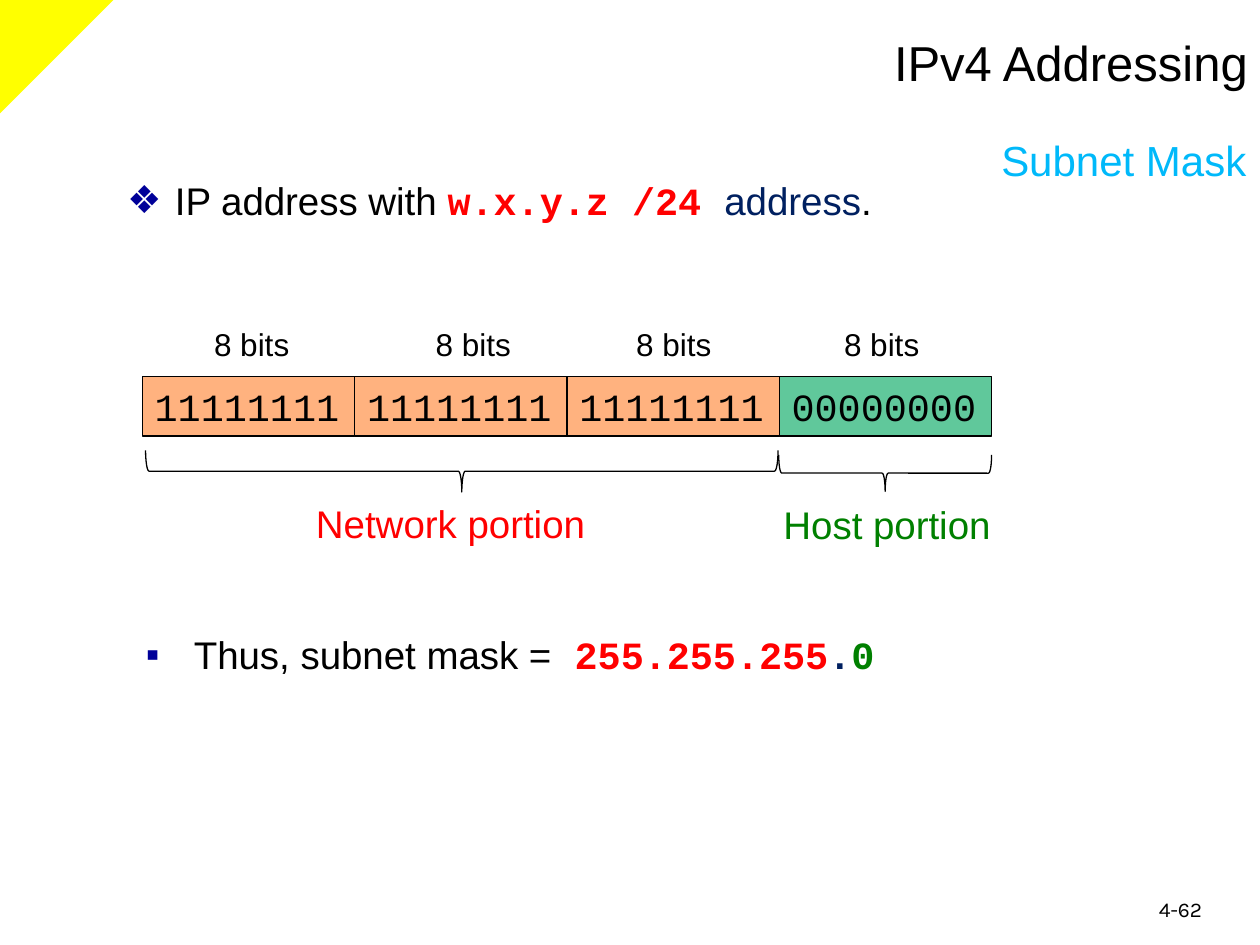
from lxml import etree
from pptx import Presentation
from pptx.dml.color import RGBColor
from pptx.enum.shapes import MSO_SHAPE
from pptx.enum.text import MSO_ANCHOR, PP_ALIGN
from pptx.oxml.ns import qn
from pptx.util import Inches, Pt

RECTANGLE, BRACE, TRIANGLE = MSO_SHAPE.RECTANGLE, MSO_SHAPE.RIGHT_BRACE, MSO_SHAPE.RIGHT_TRIANGLE
LEFT, RIGHT = PP_ALIGN.LEFT, PP_ALIGN.RIGHT
TOP, MIDDLE = MSO_ANCHOR.TOP, MSO_ANCHOR.MIDDLE

BLACK = RGBColor(0x00, 0x00, 0x00)
RED = RGBColor(0xFF, 0x00, 0x00)
GREEN = RGBColor(0x00, 0x80, 0x00)
NAVY = RGBColor(0x00, 0x20, 0x60)
SKY = RGBColor(0x00, 0xB9, 0xFA)
YELLOW = RGBColor(0xFF, 0xFF, 0x00)
ORANGE = RGBColor(0xFF, 0x66, 0x00)
MINT = RGBColor(0x60, 0xC8, 0x9B)
BULLET_HEX = "000099"
SANS, MONO = "Arial", "Courier New"

presentation = Presentation()
presentation.slide_width, presentation.slide_height = Inches(10), Inches(7.5)
slide = presentation.slides.add_slide(presentation.slide_layouts[6])


def place(left, top, width, height):
    """Turn percentages of the slide into lengths."""
    across, down = presentation.slide_width / 100, presentation.slide_height / 100
    return [round(left * across), round(top * down), round(width * across), round(height * down)]


def add_text(area, text, size, color, font=SANS, align=LEFT, anchor=TOP):
    frame = slide.shapes.add_textbox(*place(*area)).text_frame
    frame.word_wrap = True
    frame.vertical_anchor = anchor
    paragraph = frame.paragraphs[0]
    paragraph.text = text
    paragraph.alignment = align
    paragraph.font.size, paragraph.font.name = Pt(size), font
    paragraph.font.color.rgb = color
    return paragraph


# Corner triangle
corner = slide.shapes.add_shape(TRIANGLE, *place(0, 0, 9, 12))
corner.rotation = 90
corner.shadow.inherit = False
corner.fill.solid()
corner.fill.fore_color.rgb = YELLOW
corner.line.fill.background()

# Title, subtitle and page number
add_text((49.2, 2, 50.8, 9.2), "IPv4 Addressing", 28, BLACK, align=RIGHT, anchor=MIDDLE)
add_text((15, 13.73, 84.9, 6.4), "Subnet Mask", 24, SKY, align=RIGHT, anchor=MIDDLE)
add_text((91, 94.27, 7.4, 4), "4-62", 12, BLACK, font="Karla")

# Bulleted statements: text, font, colour, bold
statements = [
    ((9.1, 18.13, 84.2, 8.4), "❖", [
        ("IP address with ", SANS, BLACK, False),
        ("w.x.y.z /24 ", MONO, RED, True),
        ("address", SANS, NAVY, False),
        (".", SANS, BLACK, False)]),
    ((10.6, 66.13, 84.2, 8.93), "▪", [
        ("Thus, subnet mask =", SANS, BLACK, False),
        (" 255.255.255", MONO, RED, True),
        (".", MONO, NAVY, True),
        ("0", MONO, GREEN, True)]),
]
for area, bullet, runs in statements:
    frame = slide.shapes.add_textbox(*place(*area)).text_frame
    frame.word_wrap = True
    paragraph = frame.paragraphs[0]
    properties = paragraph._p.get_or_add_pPr()
    properties.set("marL", str(Inches(0.38)))
    properties.set("indent", str(-Inches(0.38)))
    bullet_color = etree.SubElement(properties, qn("a:buClr"))
    etree.SubElement(bullet_color, qn("a:srgbClr"), val=BULLET_HEX)
    etree.SubElement(properties, qn("a:buFont"), typeface=SANS)
    etree.SubElement(properties, qn("a:buChar"), char=bullet)
    paragraph.font.size = Pt(22)
    for text, font, color, bold in runs:
        run = paragraph.add_run()
        run.text = text
        run.font.name, run.font.bold = font, bold
        run.font.color.rgb = color

# Four octets of the mask, side by side
GRID_LEFT, GRID_RIGHT = 11.3, 78.7
octets = ["11111111"] * 3 + ["00000000"]
column = (GRID_RIGHT - GRID_LEFT) / len(octets)
for index, bits in enumerate(octets):
    is_network = index < 3
    cell = slide.shapes.add_shape(
        RECTANGLE, *place(GRID_LEFT + index * column, 39.87, column, 6.27))
    cell.shadow.inherit = False
    cell.fill.solid()
    cell.fill.fore_color.rgb = ORANGE if is_network else MINT
    if is_network:
        fill_color = cell.fill._xPr.find(qn("a:solidFill"))[0]
        etree.SubElement(fill_color, qn("a:alpha"), val="50000")
    cell.line.color.rgb = BLACK
    cell.line.width = Pt(0.75)
    cell.text_frame.vertical_anchor = TOP
    paragraph = cell.text_frame.paragraphs[0]
    paragraph.text = bits
    paragraph.alignment = LEFT
    paragraph.font.size, paragraph.font.name = Pt(22), MONO
    paragraph.font.color.rgb = BLACK

# Octet widths, spaced by tab stops
frame = slide.shapes.add_textbox(*place(16, 33.73, 62.9, 5.33)).text_frame
frame.word_wrap = True
paragraph = frame.paragraphs[0]
paragraph.text = "\t".join(["8 bits"] * len(octets))
tab_list = etree.SubElement(paragraph._p.get_or_add_pPr(), qn("a:tabLst"))
for stop in (1.76, 3.35, 5):
    etree.SubElement(tab_list, qn("a:tab"), pos=str(Inches(stop)), algn="l")
paragraph.font.size, paragraph.font.name = Pt(18), SANS
paragraph.font.color.rgb = BLACK

# Braces and the portions they name
portions = [
    ((35, 16.4, 3.3, 66.93), "Network portion", (24.1, 52.27, 23.6, 6.27), RED),
    ((68.8, 38.8, 2.9, 22.53), "Host portion", (61.2, 52.4, 18.7, 6.27), GREEN),
]
for brace_area, name, name_area, color in portions:
    brace = slide.shapes.add_shape(BRACE, *place(*brace_area))
    brace.rotation = 90
    brace.shadow.inherit = False
    brace.fill.background()
    brace.line.color.rgb = BLACK
    brace.line.width = Pt(0.75)
    add_text(name_area, name, 22, color)

presentation.save("out.pptx")
